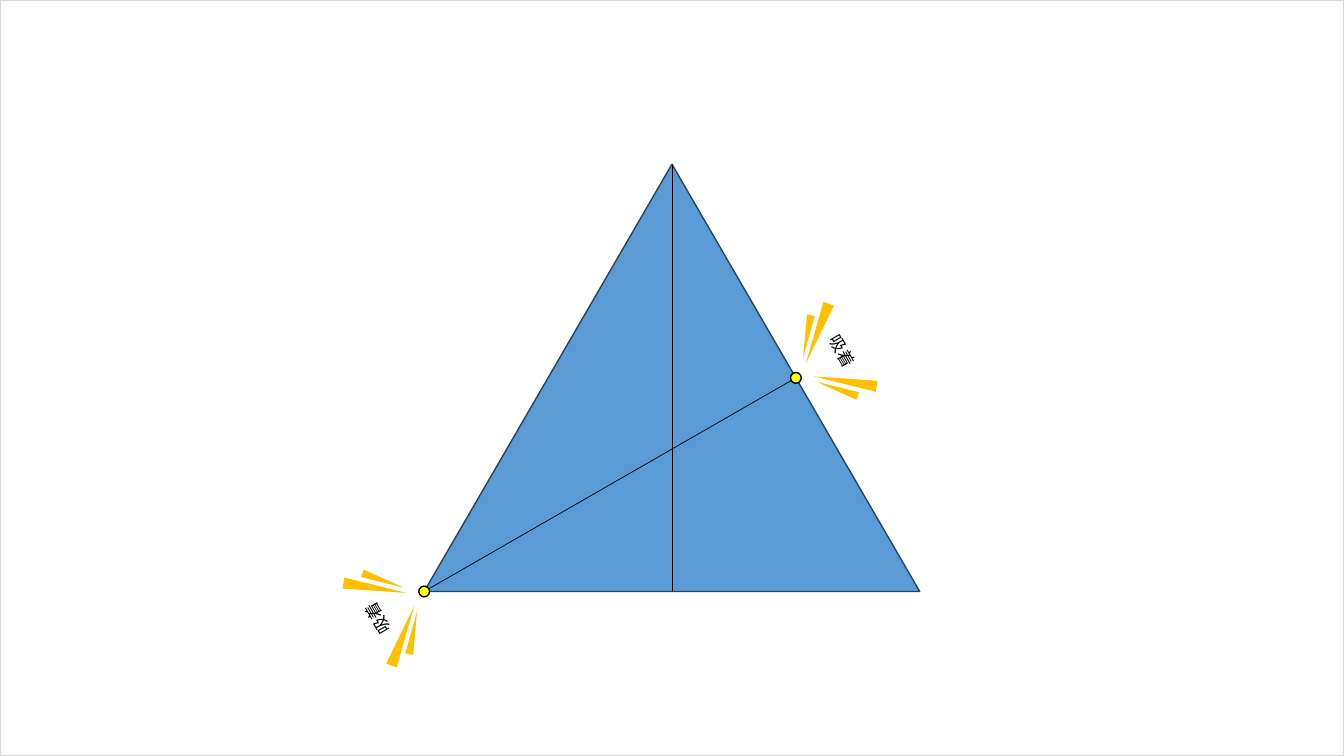
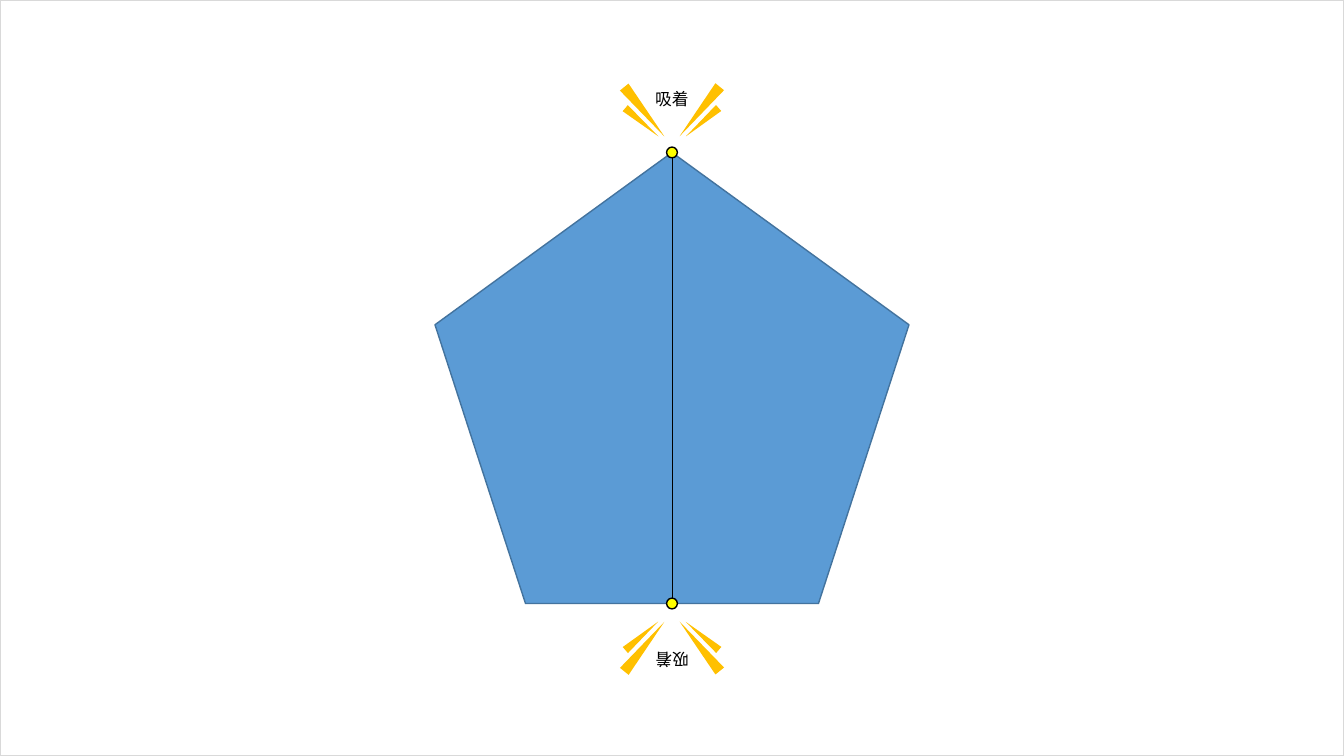
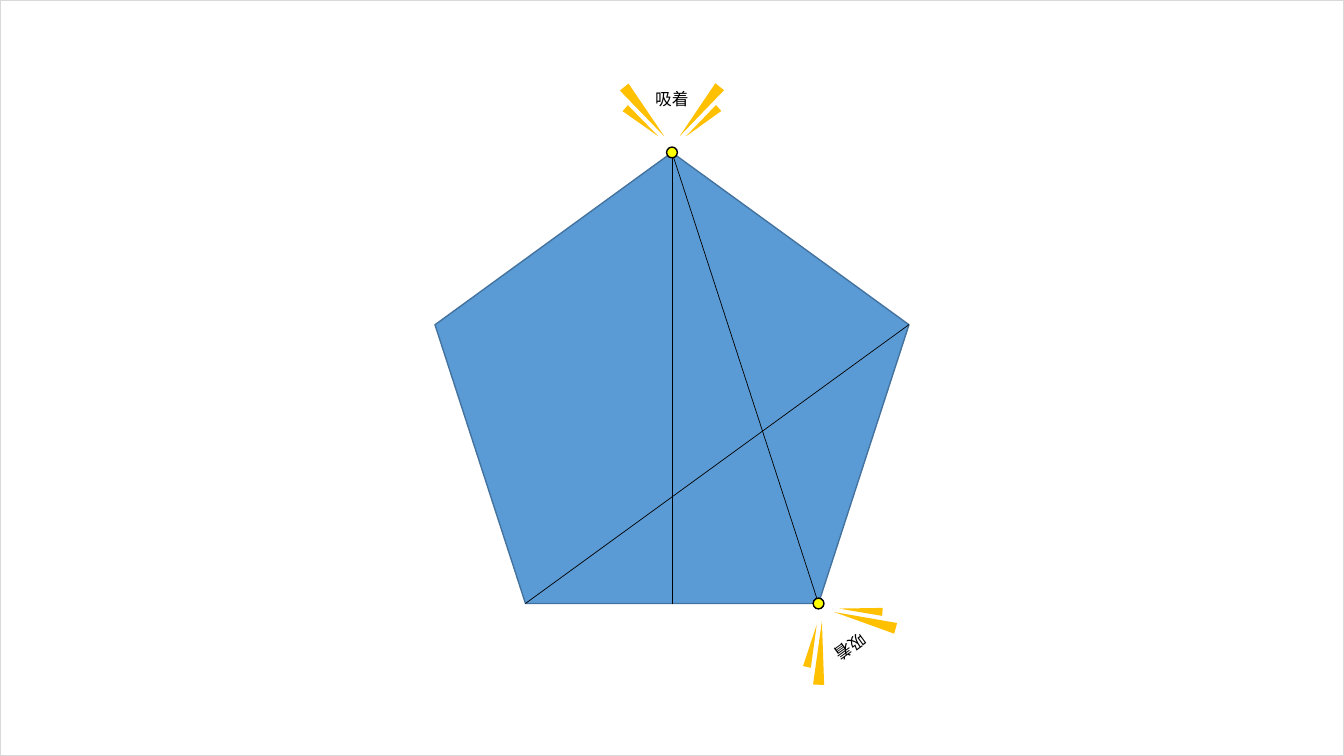
from math import cos, radians, sin

from lxml.etree import SubElement
from pptx import Presentation
from pptx.dml.color import RGBColor
from pptx.enum.shapes import MSO_CONNECTOR, MSO_SHAPE
from pptx.enum.text import MSO_AUTO_SIZE, PP_ALIGN
from pptx.oxml.ns import qn
from pptx.util import Pt

WIDE, HIGH = 960, 540
FONT = "Noto Sans CJK JP"
BLACK = RGBColor(0x00, 0x00, 0x00)
GREY = RGBColor(0xD9, 0xD9, 0xD9)
BLUE = RGBColor(0x5B, 0x9B, 0xD5)
NAVY = RGBColor(0x28, 0x44, 0x5D)
STEEL = RGBColor(0x43, 0x73, 0x9E)
YELLOW = RGBColor(0xFF, 0xFF, 0x00)
GOLD = RGBColor(0xFF, 0xC0, 0x00)

# Each ray: offset from the label centre, size, angle.
RAYS = [
    (19.8, 9.2, 7.9, 45.4, 219),
    (-19.8, 9.4, 7.9, 45.4, 140.9),
    (21.6, 16.9, 5.7, 31, 229.1),
    (-21.6, 16.9, 5.7, 31, 130.4),
]


def write(frame, text, size=12, color=BLACK, font=FONT, align=PP_ALIGN.CENTER):
    """Put one formatted line of text in a frame."""
    line = frame.paragraphs[0]
    line.alignment = align
    run = line.add_run()
    run.text = text
    run.font.size = Pt(size)
    run.font.color.rgb = color
    run.font.name = font
    SubElement(run.font._element, qn("a:ea"), typeface=font)


def spin(x, y, dx, dy, turn):
    """Return the point at an offset from x, y after a clockwise turn."""
    c, s = cos(radians(turn)), sin(radians(turn))
    return x + dx * c - dy * s, y + dx * s + dy * c


class Deck:
    """Hold the style and the current slide."""

    def __init__(self):
        """Open an empty wide deck."""
        self.file = Presentation()
        self.file.slide_width = Pt(WIDE)
        self.file.slide_height = Pt(HIGH)

    def page(self):
        """Start a slide with its thin frame."""
        self.slide = self.file.slides.add_slide(self.file.slide_layouts[6])
        self.shapes = self.slide.shapes
        self.shape(MSO_SHAPE.RECTANGLE, WIDE / 2, HIGH / 2, WIDE, HIGH, edge=GREY)

    def shape(self, kind, x, y, w, h, fill=None, edge=None, turn=0, home=None):
        """Draw a preset shape centred on x, y."""
        item = (home or self.shapes).add_shape(
            kind, Pt(x - w / 2), Pt(y - h / 2), Pt(w), Pt(h))
        item.shadow.inherit = False
        item.rotation = turn % 360
        if fill is None:
            item.fill.background()
        else:
            item.fill.solid()
            item.fill.fore_color.rgb = fill
        if edge is None:
            item.line.fill.background()
        else:
            item.line.color.rgb = edge
            item.line.width = Pt(1)

    def fold(self, start, end):
        """Draw a thin fold line."""
        line = self.shapes.add_connector(
            MSO_CONNECTOR.STRAIGHT, *(Pt(n) for n in (*start, *end)))
        line.line.color.rgb = BLACK
        line.line.width = Pt(0.5)
        SubElement(line._element.spPr, qn("a:effectLst"))

    def label(self, text, x, y, turn, home):
        """Write a turned label centred on x, y."""
        w, h = 38.6, 21.8
        box = home.add_textbox(Pt(x - w / 2), Pt(y - h / 2), Pt(w), Pt(h))
        box.rotation = turn
        box.text_frame.word_wrap = False
        box.text_frame.auto_size = MSO_AUTO_SIZE.SHAPE_TO_FIT_TEXT
        write(box.text_frame, text)

    def magnet(self, spot, turn, gap=38.5):
        """Draw a dot with a labelled burst facing the turn."""
        self.shape(MSO_SHAPE.OVAL, *spot, 7.7, 7.7, YELLOW, BLACK)
        home = self.shapes.add_group_shape().shapes
        self.label("吸着", *spin(*spot, 0, -gap, turn), turn, home)
        for dx, dy, w, h, tilt in RAYS:
            x, y = spin(*spot, dx, dy - gap, turn)
            self.shape(MSO_SHAPE.ISOSCELES_TRIANGLE, x, y, w, h, GOLD,
                       turn=tilt + turn, home=home)


def main():
    """Build the three folding slides."""
    deck = Deck()
    mid = WIDE / 2

    top, base, half = 117.3, 422.5, 177
    left, side = (mid - half, base), (mid + half / 2, (top + base) / 2)
    deck.page()
    deck.shape(MSO_SHAPE.ISOSCELES_TRIANGLE, mid, (top + base) / 2,
               2 * half, base - top, BLUE, NAVY)
    deck.fold((mid, top), (mid, base))
    deck.fold(side, left)
    deck.magnet(side, 60)
    deck.magnet(left, 240)

    top, base, foot = 108.9, 431.1, 104.7
    peak, floor = (mid, top), (mid, base)
    left, right = (mid - foot, base), (mid + foot, base)
    for last in (False, True):
        deck.page()
        deck.shape(MSO_SHAPE.REGULAR_PENTAGON, mid, (top + base) / 2,
                   338.6, base - top, BLUE, STEEL)
        deck.fold(peak, floor)
        if last:
            deck.fold(peak, right)
            deck.fold(left, (649.3, 231.9))
        deck.magnet(peak, 0)
        if last:
            deck.magnet(right, 144)
        else:
            deck.magnet(floor, 180, gap=40)

    deck.file.save("out.pptx")


if __name__ == "__main__":
    main()
